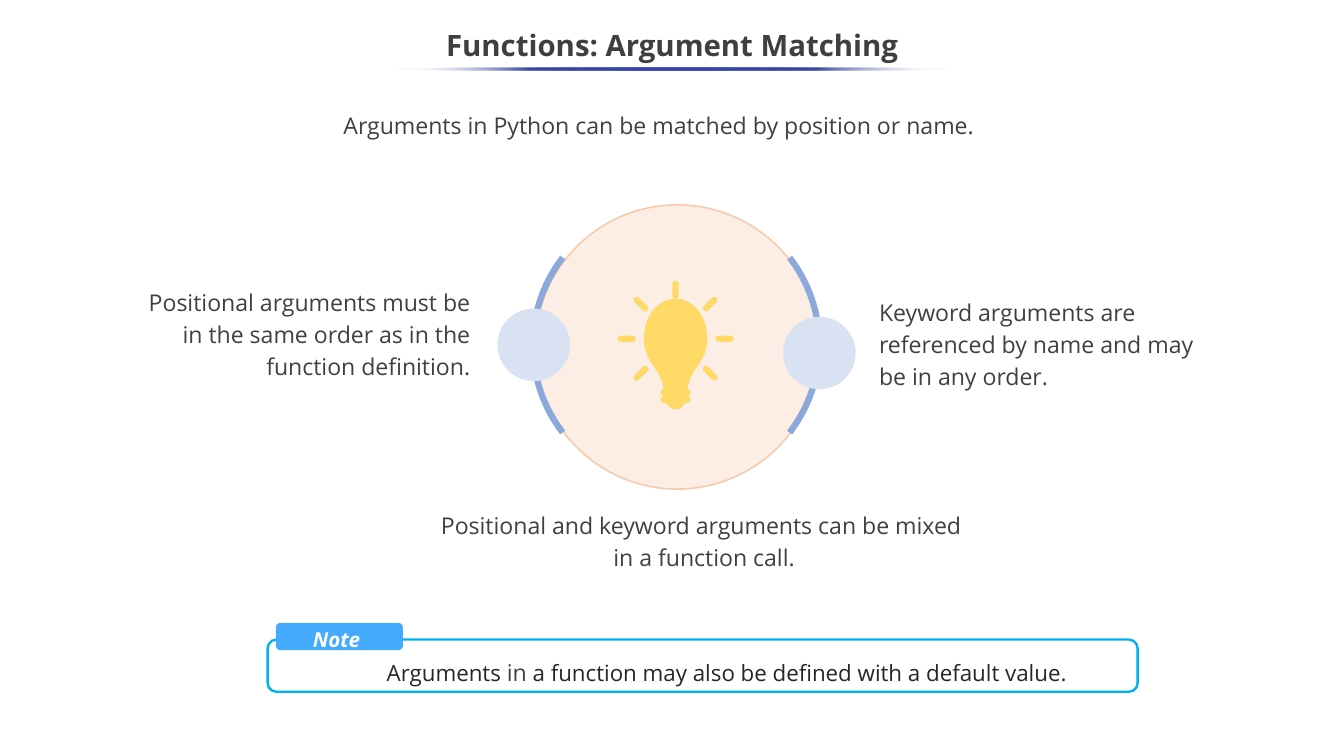
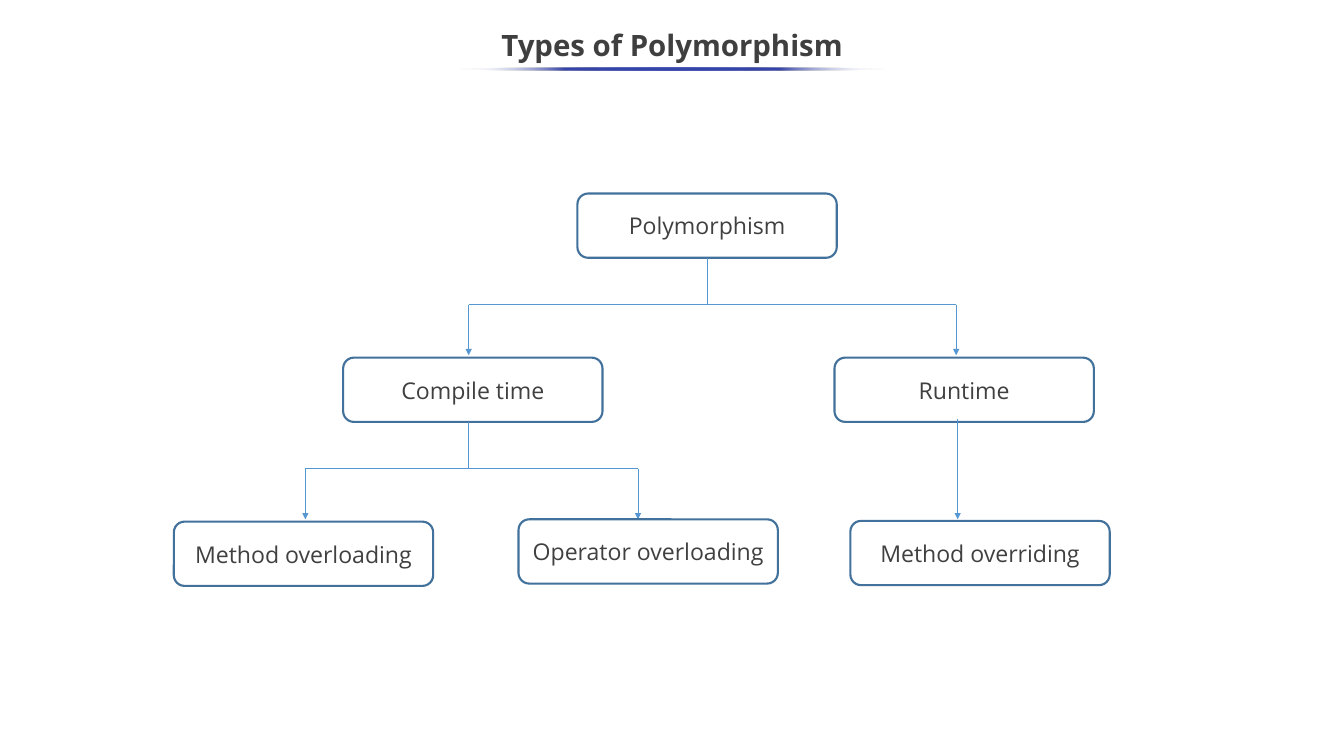
import math

from lxml import etree
from pptx import Presentation
from pptx import util as u
from pptx.dml.color import RGBColor
from pptx.enum import shapes, text
from pptx.oxml.ns import qn

FONT = "Open Sans"
TITLE_GREY = RGBColor(0x3F, 0x3F, 0x3F)
BODY_GREY = RGBColor(0x40, 0x40, 0x40)
NOTE_GREY = RGBColor(0x26, 0x26, 0x26)
WHITE = RGBColor(0xFF, 0xFF, 0xFF)
INDIGO = RGBColor(0x36, 0x45, 0xA9)
PEACH = RGBColor(0xFC, 0xEE, 0xE4)
PEACH_EDGE = RGBColor(0xF7, 0xCA, 0xAC)
ARC_BLUE = RGBColor(0x8D, 0xA9, 0xDB)
PALE_BLUE = RGBColor(0xD8, 0xE2, 0xF3)
BULB_YELLOW = RGBColor(0xFF, 0xD9, 0x66)
NOTE_EDGE = RGBColor(0x00, 0xB0, 0xF0)
NOTE_TAG = RGBColor(0x44, 0xAA, 0xFE)
NODE_EDGE = RGBColor(0x42, 0x71, 0x9B)
LINK_BLUE = RGBColor(0x55, 0x97, 0xD3)

WIDTH, HEIGHT = 1280.16, 720
NODE_WIDTH, NODE_HEIGHT = 247, 61.2
LEFT, CENTER, RIGHT = text.PP_ALIGN.LEFT, text.PP_ALIGN.CENTER, text.PP_ALIGN.RIGHT
SHAPE = shapes.MSO_SHAPE

# Right halves of the bulb outlines, relative to the bulb centre:
# a start point, then cubic curves as (control, control, end).
GLASS_HALF = ((0, -38.2), [
    ((16.6, -38.2), (30.2, -21.6), (30.2, -0.7)),
    ((30.2, 23.8), (13, 28.1), (11.5, 48.2)),
    ((13, 49), (13.7, 50.4), (13.7, 51.8)),
    ((13.7, 54), (13, 55.4), (10.8, 55.4)),
])
CAP_HALF = ((10.8, 55.4), [
    ((13, 55.4), (15.1, 56.9), (13.7, 59)),
    ((13.7, 60.5), (12.2, 61.2), (10.8, 61.2)),
    ((9.4, 61.2), (7.9, 61.9), (7.2, 63.4)),
    ((5.8, 65.5), (3.6, 67), (2.2, 67)),
])


def curve_points(start, curves, steps=10):
    """Sample a chain of cubic curves into points."""
    points = [start]
    for first, second, end in curves:
        origin = points[-1]
        for step in range(1, steps + 1):
            t = step / steps
            points.append(tuple(
                (1 - t) ** 3 * a + 3 * (1 - t) ** 2 * t * b + 3 * (1 - t) * t ** 2 * c + t ** 3 * d
                for a, b, c, d in zip(origin, first, second, end)))
    return points


class SlideBuilder:
    def __init__(self):
        self.deck = Presentation()
        self.deck.slide_width, self.deck.slide_height = u.Pt(WIDTH), u.Pt(HEIGHT)
        self.page = None

    def new_page(self, title, underline_width):
        self.page = self.deck.slides.add_slide(self.deck.slide_layouts[6])
        self.label([(title, 28, TITLE_GREY)], 0, 18, WIDTH, 54, CENTER, 0.9,
                   bold=True, anchor=text.MSO_ANCHOR.MIDDLE)
        self.underline(underline_width)

    def paint(self, shape, fill=None, edge=None, weight=1):
        shape.shadow.inherit = False
        if fill is None:
            shape.fill.background()
        else:
            shape.fill.solid()
            shape.fill.fore_color.rgb = fill
        if edge is None:
            shape.line.fill.background()
        else:
            shape.line.color.rgb = edge
            shape.line.width = u.Pt(weight)
        return shape

    def shape(self, kind, left, top, width, height, fill=None, edge=None, weight=1, adjust=()):
        shape = self.page.shapes.add_shape(kind, u.Pt(left), u.Pt(top), u.Pt(width), u.Pt(height))
        for index, value in enumerate(adjust):
            shape.adjustments[index] = value
        return self.paint(shape, fill, edge, weight)

    def underline(self, width):
        """Draw the thin lens below the title, fading out at both ends."""
        lens = self.shape(SHAPE.OVAL, (WIDTH - width) / 2, 64.1, width, 2.9)
        lens.fill.gradient()
        lens.fill.gradient_angle = 0
        stops = lens._element.spPr.find(qn("a:gradFill")).find(qn("a:gsLst"))
        for stop in list(stops):
            stops.remove(stop)
        for position in range(0, 101, 25):
            at_end = position in (0, 100)
            stop = etree.SubElement(stops, qn("a:gs"), pos=str(position * 1000))
            color = etree.SubElement(stop, qn("a:srgbClr"), val=str(WHITE if at_end else INDIGO))
            if at_end:
                etree.SubElement(color, qn("a:alpha"), val="0")

    def set_spans(self, frame, spans, align, spacing, bold=False, italic=False):
        """Fill a frame with one paragraph of (wording, size, colour) spans."""
        frame.word_wrap = True
        para = frame.paragraphs[0]
        para.alignment = align
        para.line_spacing = spacing
        if len(spans) == 1:
            para.text = spans[0][0]
        else:
            for wording, _, _ in spans:
                para.add_run().text = wording
        for index, span in enumerate(para.runs):
            _, size, color = spans[min(index, len(spans) - 1)]
            span.font.name, span.font.size = FONT, u.Pt(size)
            span.font.color.rgb = color
            span.font.bold, span.font.italic = bold, italic

    def label(self, spans, left, top, width, height, align=LEFT, spacing=1.15,
              bold=False, italic=False, anchor=text.MSO_ANCHOR.TOP):
        box = self.page.shapes.add_textbox(u.Pt(left), u.Pt(top), u.Pt(width), u.Pt(height))
        box.text_frame.vertical_anchor = anchor
        self.set_spans(box.text_frame, spans, align, spacing, bold, italic)

    def body(self, wording, left, top, width, height, align=CENTER):
        self.label([(wording, 22, BODY_GREY)], left, top, width, height, align)

    def mirrored_outline(self, center_x, center_y, half, fill):
        """Close a right-hand outline with its mirror image on the left."""
        right = curve_points(*half)
        outline = right + [(-x, y) for x, y in reversed(right)]
        points = [(u.Pt(center_x + x), u.Pt(center_y + y)) for x, y in outline]
        builder = self.page.shapes.build_freeform(*points[0])
        builder.add_line_segments(points[1:], close=True)
        self.paint(builder.convert_to_shape(), fill)

    def bulb(self, center_x, center_y):
        self.mirrored_outline(center_x, center_y, CAP_HALF, BULB_YELLOW)
        length, thickness, distance = 17.3, 5.9, 46.6
        for angle in range(-225, 46, 45):
            x = center_x + distance * math.cos(math.radians(angle))
            y = center_y + distance * math.sin(math.radians(angle))
            ray = self.shape(SHAPE.ROUNDED_RECTANGLE, x - length / 2, y - thickness / 2,
                             length, thickness, BULB_YELLOW, adjust=(0.5,))
            ray.rotation = angle % 360
        self.shape(SHAPE.ROUNDED_RECTANGLE, center_x - 14.5, center_y + 48.2, 29, 5.8,
                   BULB_YELLOW, adjust=(0.5,))
        self.mirrored_outline(center_x, center_y, GLASS_HALF, BULB_YELLOW)

    def node(self, wording, left, top):
        box = self.shape(SHAPE.ROUNDED_RECTANGLE, left, top, NODE_WIDTH, NODE_HEIGHT,
                         edge=NODE_EDGE, weight=2)
        box.text_frame.vertical_anchor = text.MSO_ANCHOR.MIDDLE
        self.set_spans(box.text_frame, [(wording, 22, BODY_GREY)], CENTER, 1)
        return box

    def link(self, x1, y1, x2, y2, arrow=False):
        link = self.page.shapes.add_connector(
            shapes.MSO_CONNECTOR.STRAIGHT, u.Pt(x1), u.Pt(y1), u.Pt(x2), u.Pt(y2))
        link.line.color.rgb = LINK_BLUE
        link.line.width = u.Pt(0.75)
        if arrow:
            etree.SubElement(link.line._get_or_add_ln(), qn("a:tailEnd"), type="triangle")
        etree.SubElement(link._element.spPr, qn("a:effectLst"))
        return link

    def fork(self, x, top, branches):
        """Drop a trunk to a bar, with an arrow down from each end of it; return the trunk."""
        bar, tip = top + 44.6, top + 92.8
        trunk = self.link(x, top, x, bar)
        self.link(branches[0], bar, branches[-1], bar)
        for branch in branches:
            self.link(branch, bar, branch, tip, arrow=True)
        return trunk


def argument_matching(builder):
    builder.new_page("Functions: Argument Matching", 538.6)
    builder.body("Arguments in Python can be matched by position or name.", 262.8, 98.6, 729.4, 38)
    builder.shape(SHAPE.OVAL, 509.8, 195.1, 270.7, 270.7, PEACH, PEACH_EDGE, 1.5)
    builder.body("Keyword arguments are referenced by name and may be in any order.",
                 830.2, 277.2, 317.5, 129.6, LEFT)
    builder.body("Positional arguments must be in the same order as in the function definition.",
                 133.9, 267.1, 321.1, 99.4, RIGHT)
    # Arc adjustments count 0.6 per degree; both arcs span 37.65 degrees either way.
    half_span, half_turn = 22.59, 108
    for arc, dot_left, dot_top in (
            ((half_turn - half_span, half_turn + half_span), 473.8, 293.8),
            ((2 * half_turn - half_span, half_span), 745.9, 301.7)):
        builder.shape(SHAPE.ARC, 507.6, 192.2, 272.9, 272.9, edge=ARC_BLUE, weight=6, adjust=arc)
        builder.shape(SHAPE.OVAL, dot_left, dot_top, 69.1, 69.1, PALE_BLUE)
    builder.bulb(643.5, 322.6)
    builder.body("Positional and keyword arguments can be mixed \vin a function call.",
                 398.9, 479.5, 543.6, 68.4)

    builder.label([("Arguments ", 21.3, NOTE_GREY), ("in", 22, BODY_GREY),
                   (" a function may also be defined with a default value.", 21.3, NOTE_GREY)],
                  290.9, 619.2, 802.8, 25.2, CENTER)
    builder.shape(SHAPE.ROUNDED_RECTANGLE, 254.9, 609.1, 828.7, 49.7, edge=NOTE_EDGE, weight=2.25)
    builder.shape(SHAPE.ROUNDED_RECTANGLE, 262.8, 593.3, 121, 25.9, NOTE_TAG)
    builder.label([("Note", 19.6, WHITE)], 290.9, 593.3, 86.4, 14.4, spacing=1,
                  bold=True, italic=True)


def polymorphism_types(builder):
    builder.new_page("Types of Polymorphism", 407.5)
    root_top, middle_top = 184.3, 340.6
    root = builder.node("Polymorphism", 550, root_top)
    trunk = builder.fork(550 + NODE_WIDTH / 2, root_top + NODE_HEIGHT, (446.4, 910.8))
    trunk.begin_connect(root, 2)
    builder.node("Compile time", 326.9, middle_top)
    builder.node("Runtime", 794.9, middle_top)
    builder.fork(446, middle_top + NODE_HEIGHT, (290.9, 607.7))
    builder.link(912.2, 398.9, 912.2, 494.6, arrow=True)
    for wording, left, top in (("Method overloading", 165.6, 496.8),
                               ("Operator overloading", 493.9, 494.6),
                               ("Method overriding", 810, 496.1)):
        builder.node(wording, left, top)


def main():
    builder = SlideBuilder()
    argument_matching(builder)
    polymorphism_types(builder)
    builder.deck.save("out.pptx")


if __name__ == "__main__":
    main()
